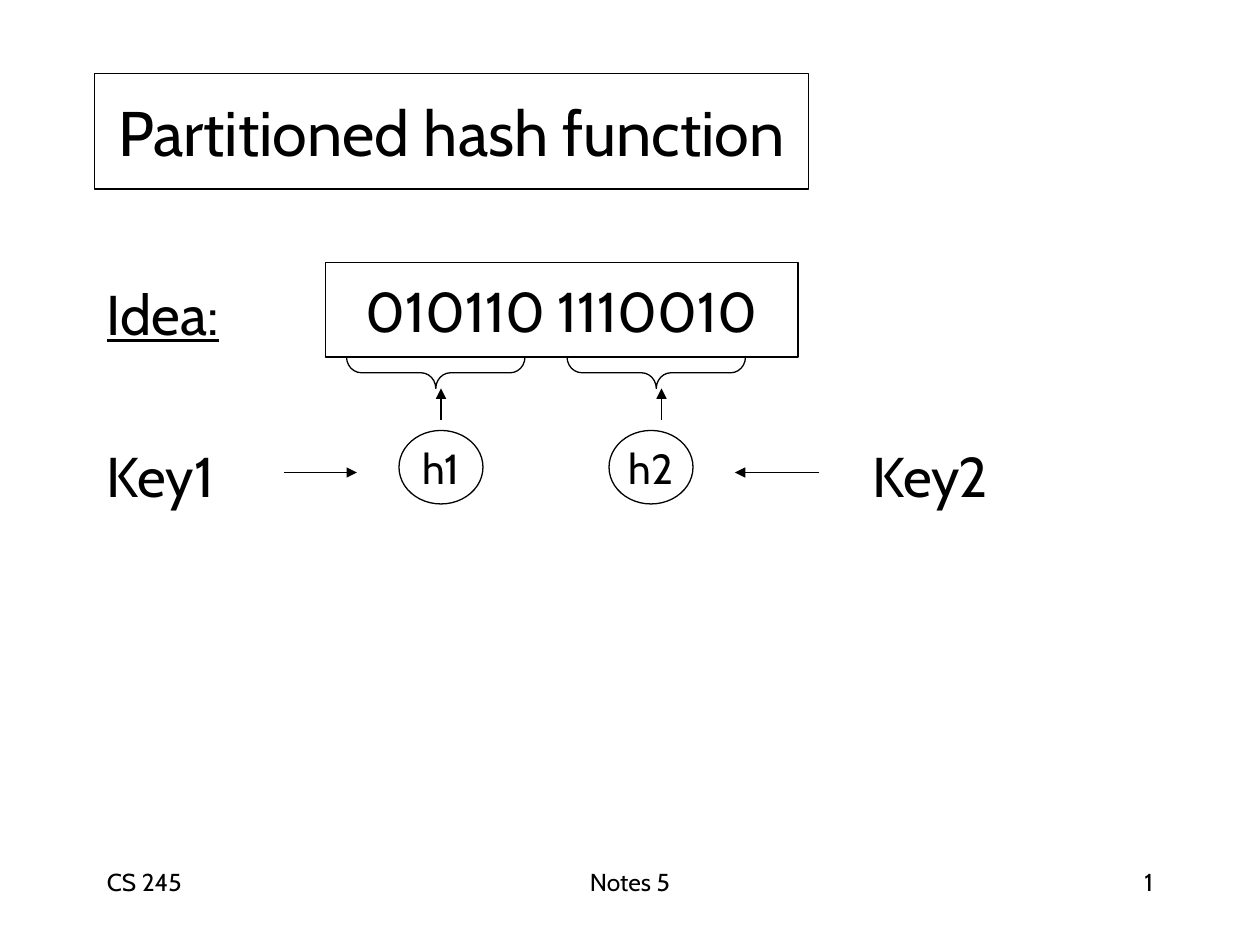
from dataclasses import dataclass

from lxml import etree
from pptx import Presentation
from pptx.dml.color import RGBColor
from pptx.enum import shapes, text
from pptx.oxml import ns
from pptx.util import Pt


@dataclass(frozen=True)
class Theme:
    font: str = "Cabin"
    ink: RGBColor = RGBColor(0, 0, 0)
    paper: RGBColor = RGBColor(255, 255, 255)
    line: float = 0.75
    title: int = 36
    body: int = 32
    node: int = 24
    footer: int = 14


THEME = Theme()
SHAPE = shapes.MSO_SHAPE
ALIGN = text.PP_ALIGN

presentation = Presentation()
presentation.slide_width, presentation.slide_height = Pt(720), Pt(540)
slide = presentation.slides.add_slide(presentation.slide_layouts[6])


def write(shape, words, size, align, wrap=True):
    """Fill the shape's single paragraph and return it."""
    shape.text_frame.word_wrap = wrap
    paragraph = shape.text_frame.paragraphs[0]
    paragraph.text = words
    paragraph.alignment = align
    paragraph.font.name = THEME.font
    paragraph.font.size = Pt(size)
    paragraph.font.color.rgb = THEME.ink
    return paragraph


def add_outlined(kind, left, top, width, height):
    shape = slide.shapes.add_shape(kind, Pt(left), Pt(top), Pt(width), Pt(height))
    shape.shadow.inherit = False
    shape.fill.solid()
    shape.fill.fore_color.rgb = THEME.paper
    shape.line.color.rgb = THEME.ink
    shape.line.width = Pt(THEME.line)
    return shape


# Labels: words, left, top, underlined
for words, left, top, underlined in (
    ("Idea:", 54, 156, False or True),
    ("Key1", 54, 249, False),
    ("Key2", 491.7, 249, False),
):
    label = slide.shapes.add_textbox(Pt(left), Pt(top), Pt(110), Pt(46))
    write(label, words, THEME.body, ALIGN.LEFT).font.underline = underlined

# Title, hash value and the two hash functions
for kind, words, size, left, top, width, height in (
    (SHAPE.RECTANGLE, "Partitioned hash function", THEME.title, 54, 42, 408, 66),
    (SHAPE.RECTANGLE, "010110 1110010", THEME.body, 186, 150, 270, 54),
    (SHAPE.OVAL, "h1", THEME.node, 228, 246, 48, 42),
    (SHAPE.OVAL, "h2", THEME.node, 348, 246, 48, 42),
):
    shape = add_outlined(kind, left, top, width, height)
    shape.text_frame.vertical_anchor = text.MSO_ANCHOR.MIDDLE
    write(shape, words, size, ALIGN.CENTER, wrap=False)

# Braces under the two halves of the hash value, turned to point down
BRACE_DEPTH, BRACE_SPAN, BRACE_MIDDLE = 18, 102, 213
for center in (249, 375):
    brace = add_outlined(
        SHAPE.RIGHT_BRACE,
        center - BRACE_DEPTH / 2,
        BRACE_MIDDLE - BRACE_SPAN / 2,
        BRACE_DEPTH,
        BRACE_SPAN,
    )
    brace.rotation = 90
    brace.adjustments[0] = 0.47
    brace.fill.background()

# Arrows from keys to hash functions, and from those up to the braces
for x1, y1, x2, y2 in (
    (162, 270, 204, 270),
    (468, 270, 420, 270),
    (252, 240, 252, 222),
    (378, 240, 378, 222),
):
    arrow = slide.shapes.add_connector(
        shapes.MSO_CONNECTOR.STRAIGHT, Pt(x1), Pt(y1), Pt(x2), Pt(y2)
    )
    arrow.line.color.rgb = THEME.ink
    arrow.line.width = Pt(THEME.line)
    etree.SubElement(arrow.line._get_or_add_ln(), ns.qn("a:tailEnd"), type="triangle")
    etree.SubElement(arrow._element.spPr, ns.qn("a:effectLst"))

# Footer
for words, left, width, align in (
    ("CS 245", 54, 150, ALIGN.LEFT),
    ("Notes 5", 246, 228, ALIGN.CENTER),
    ("1", 516, 150, ALIGN.RIGHT),
):
    footer = slide.shapes.add_textbox(Pt(left), Pt(492), Pt(width), Pt(36))
    write(footer, words, THEME.footer, align)

presentation.save("out.pptx")
